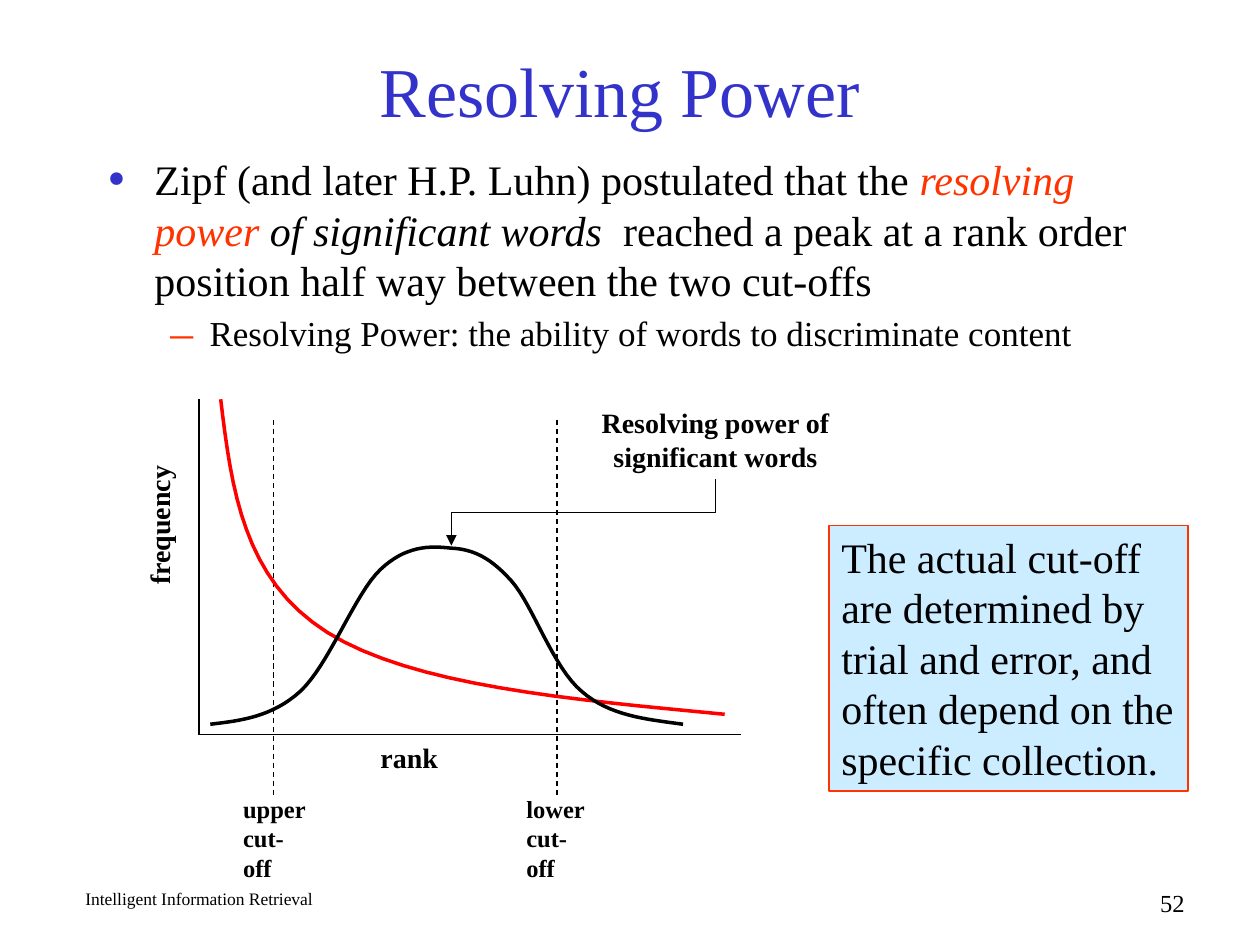
from lxml.etree import SubElement
from pptx import Presentation
from pptx.dml.color import RGBColor
from pptx.enum.dml import MSO_LINE
from pptx.enum.shapes import MSO_CONNECTOR, MSO_SHAPE
from pptx.enum.text import MSO_ANCHOR, MSO_AUTO_SIZE, PP_ALIGN
from pptx.oxml.ns import qn
from pptx.util import Cm, Pt


def rgb(color):
    return RGBColor.from_string(color)


def add_run(p, text, size, color="000000", **fmt):
    r = p.add_run()
    r.text = text
    for name, value in {"name": "Times New Roman", "size": Pt(size), **fmt}.items():
        setattr(r.font, name, value)
    r.font.color.rgb = rgb(color)


prs = Presentation()
prs.slide_width, prs.slide_height = Cm(25.4), Cm(19.05)
s = prs.slides.add_slide(prs.slide_layouts[1])
title, body = s.shapes.title, s.placeholders[1]

for sp, box in ((title, (1.7, 0.84, 21.59, 1.91)), (body, (1.91, 2.97, 21.59, 4.65))):
    sp.left, sp.top, sp.width, sp.height = map(Cm, box)
    sp.text_frame.auto_size = MSO_AUTO_SIZE.NONE

title.text_frame.vertical_anchor = MSO_ANCHOR.MIDDLE
p = title.text_frame.paragraphs[0]
p.alignment = PP_ALIGN.CENTER
add_run(p, "Resolving Power", 40, "3333CC")

tf = body.text_frame
p = tf.paragraphs[0]
add_run(p, "Zipf (and later H.P. Luhn) postulated that the ", 24)
add_run(p, "resolving power", 24, "FF3300", italic=True)
add_run(p, " of significant words", 24, italic=True)
add_run(p, "  reached a peak at a rank order position half way between the two cut-offs", 24)
p = tf.add_paragraph()
p.level = 1
add_run(p, "Resolving Power: the ability of words to discriminate content", 20)

bullets = [("•", "3333CC", 125, 0.95, 0.95), ("–", "FF3300", 130, 2.06, 0.79)]
for p, (char, color, percent, left, hang) in zip(tf.paragraphs, bullets):
    pPr = p._p.get_or_add_pPr()
    pPr.set("marL", str(Cm(left)))
    pPr.set("indent", str(-Cm(hang)))
    SubElement(SubElement(pPr, qn("a:buClr")), qn("a:srgbClr"), val=color)
    SubElement(pPr, qn("a:buSzPct"), val=str(percent * 1000))
    SubElement(pPr, qn("a:buFont"), typeface="Times New Roman")
    SubElement(pPr, qn("a:buChar"), char=char)

lines = [
    (MSO_CONNECTOR.STRAIGHT, (4.01, 8.05, 4.01, 14.81)),
    (MSO_CONNECTOR.STRAIGHT, (4.01, 14.81, 14.94, 14.81)),
    (MSO_CONNECTOR.STRAIGHT, (5.51, 8.46, 5.51, 16.08)),
    (MSO_CONNECTOR.STRAIGHT, (11.23, 8.46, 11.23, 16.08)),
    (MSO_CONNECTOR.ELBOW, (11.09, 7.67, 12.43, 12.99)),
]
connectors = []
for kind, ends in lines:
    sp = s.shapes.add_connector(kind, *map(Cm, ends))
    sp.line.color.rgb = rgb("000000")
    sp.line.width = Pt(0.75)
    SubElement(sp._element.spPr, qn("a:effectLst"))
    connectors.append(sp)

upper_cut, lower_cut, pointer = connectors[2:]
for sp in (upper_cut, lower_cut):
    sp.line.dash_style = MSO_LINE.DASH
pointer._element.spPr.find(qn("a:xfrm")).set("rot", "5400000")
SubElement(pointer.line._get_or_add_ln(), qn("a:tailEnd"), type="triangle")

curves = [
    ("FF0000", [(4.45, 8.05), (4.67, 9.86), (4.9, 11.68), (6.6, 12.75),
                (8.31, 13.82), (11.46, 14.1), (14.61, 14.4)]),
    ("000000", [(4.24, 14.6), (4.85, 14.53), (5.49, 14.45), (6.05, 13.94),
                (6.63, 13.41), (7.16, 11.96), (7.67, 11.48),
                (8.18, 11), (8.66, 11), (9.09, 11.05),
                (9.53, 11.07), (9.88, 11.23), (10.31, 11.71),
                (10.74, 12.19), (11.15, 13.46), (11.73, 13.94),
                (12.29, 14.43), (13.03, 14.5), (13.77, 14.6)]),
]
steps = 16
for color, knots in curves:
    points = []
    for i in range(0, len(knots) - 1, 3):
        for t in (n / steps for n in range(1, steps + 1)):
            weights = ((1 - t) ** 3, 3 * t * (1 - t) ** 2, 3 * t * t * (1 - t), t ** 3)
            points.append([Cm(sum(w * k[axis] for w, k in zip(weights, knots[i:i + 4])))
                           for axis in (0, 1)])
    fb = s.shapes.build_freeform(*map(Cm, knots[0]))
    fb.add_line_segments(points, close=False)
    sp = fb.convert_to_shape()
    sp.shadow.inherit = False
    sp.fill.background()
    sp.line.color.rgb = rgb(color)
    sp.line.width = Pt(2)

note = s.shapes.add_shape(MSO_SHAPE.RECTANGLE, *map(Cm, (16.71, 10.59, 7.24, 5.36)))
note.shadow.inherit = False
note.fill.solid()
note.fill.fore_color.rgb = rgb("CCECFF")
note.line.color.rgb = rgb("FF3300")
note.line.width = Pt(0.75)
note.text_frame.word_wrap = False
note.text_frame.vertical_anchor = MSO_ANCHOR.TOP
note_lines = ["The actual cut-off", "are determined by", "trial and error, and",
              "often depend on the", "specific collection."]
for i, text in enumerate(note_lines):
    p = note.text_frame.add_paragraph() if i else note.text_frame.paragraphs[0]
    p.alignment = PP_ALIGN.LEFT
    add_run(p, text, 24)

left, center, right = PP_ALIGN.LEFT, PP_ALIGN.CENTER, PP_ALIGN.RIGHT
labels = [
    (["Intelligent Information Retrieval"], (1.47, 17.78, 9.53, 0.64), 10, left, False, 0),
    (["52"], (18.85, 17.78, 5.28, 0.64), 14, right, False, 0),
    (["rank"], (7.42, 14.81, 1.68, 0.94), 16, left, True, 0),
    (["frequency"], (1.75, 10.11, 2.92, 0.94), 16, left, True, 270),
    (["Resolving power of", "significant words"], (11.86, 8.05, 5.13, 1.63), 16, center, True, 0),
    (["upper", "cut-off"], (4.65, 15.88, 1.9, 1.45), 14, left, True, 0),
    (["lower", "cut-off"], (10.36, 15.88, 1.9, 1.45), 14, left, True, 0),
]
for texts, box, size, align, bold, angle in labels:
    sp = s.shapes.add_textbox(*map(Cm, box))
    sp.rotation = angle
    tf = sp.text_frame
    tf.word_wrap = not bold
    for i, text in enumerate(texts):
        p = tf.add_paragraph() if i else tf.paragraphs[0]
        p.alignment = align
        add_run(p, text, size, bold=bold)

prs.save("out.pptx")
